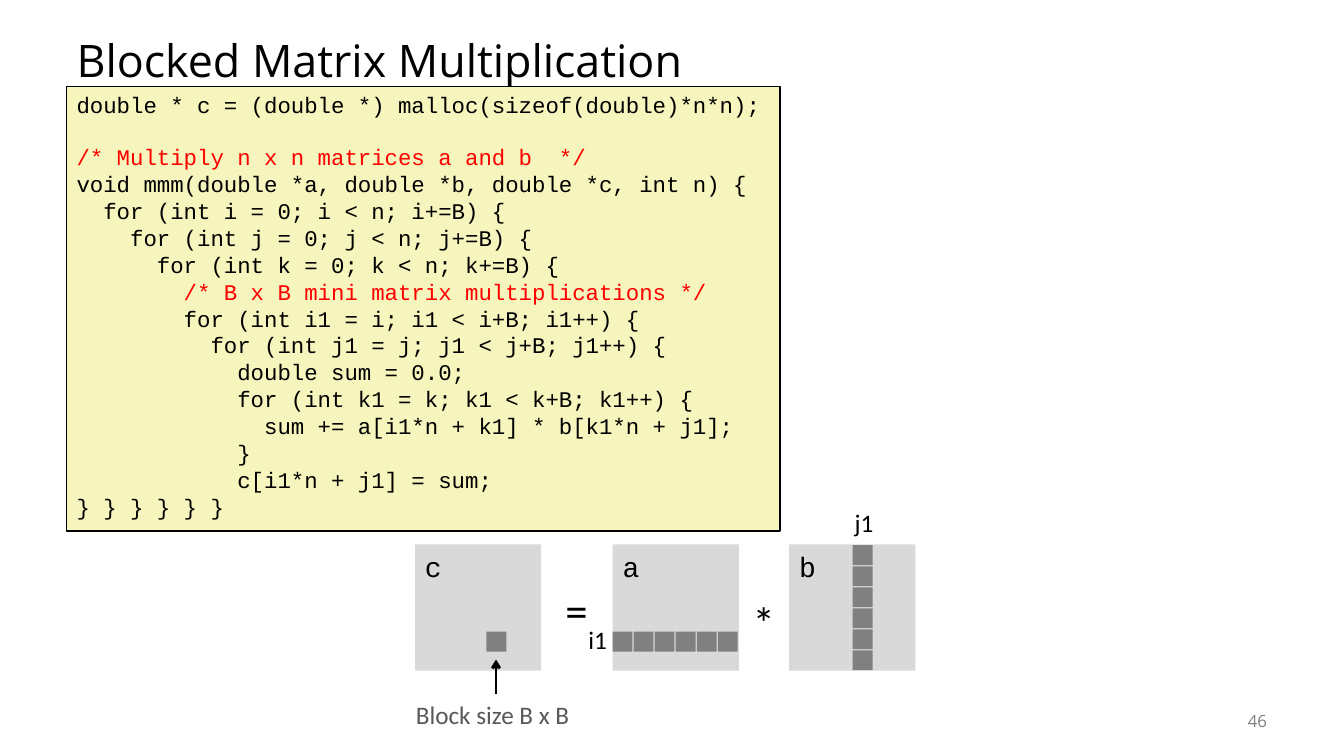
from lxml import etree
from pptx import Presentation
from pptx.dml.color import RGBColor as RGB
from pptx.enum.shapes import MSO_CONNECTOR as CONNECTOR, MSO_SHAPE as SHAPE
from pptx.enum.text import MSO_ANCHOR as ANCHOR, PP_ALIGN as ALIGN
from pptx.oxml.ns import qn
from pptx.util import Cm, Pt

COLORS = {"ink": "000000", "comment": "FF0000", "code": "F6F5BD",
          "matrix": "D9D9D9", "block": "808080", "caption": "595959",
          "number": "808080"}
MATRIX_SIDE, BLOCK_SIDE, BLOCK_PITCH, BLOCK_COUNT = 3.18, 0.5, 0.53, 6
CODE_SIZE = 16

CODE = """double * c = (double *) malloc(sizeof(double)*n*n);
/* Multiply n x n matrices a and b  */
void mmm(double *a, double *b, double *c, int n) {
  for (int i = 0; i < n; i+=B) {
    for (int j = 0; j < n; j+=B) {
      for (int k = 0; k < n; k+=B) {
        /* B x B mini matrix multiplications */
        for (int i1 = i; i1 < i+B; i1++) {
          for (int j1 = j; j1 < j+B; j1++) {
            double sum = 0.0;
            for (int k1 = k; k1 < k+B; k1++) {
              sum += a[i1*n + k1] * b[k1*n + j1];
            }
            c[i1*n + j1] = sum;
} } } } } }"""


def color(name):
    """Return the named colour."""
    return RGB.from_string(COLORS[name])


def style(paragraph, font_name, size, ink="ink"):
    """Format every run of a paragraph."""
    for run in paragraph.runs:
        run.font.name = font_name
        run.font.size = Pt(size)
        run.font.color.rgb = color(ink)


def add_label(slide, box, text, font_name, size, ink="ink", wrap=False):
    """Add a one-line text box and return its text frame."""
    frame = slide.shapes.add_textbox(*map(Cm, box)).text_frame
    frame.word_wrap = wrap
    frame.text = text
    style(frame.paragraphs[0], font_name, size, ink)
    return frame


def add_rect(slide, box, fill):
    """Add a flat rectangle without an outline."""
    rect = slide.shapes.add_shape(SHAPE.RECTANGLE, *map(Cm, box))
    rect.shadow.inherit = False
    rect.fill.solid()
    rect.fill.fore_color.rgb = color(fill)
    rect.line.fill.background()
    return rect


def add_title(slide, box):
    """Add the slide title."""
    frame = add_label(slide, box, "Blocked Matrix Multiplication",
                      "Open Sans", 32, wrap=True)
    frame.vertical_anchor = ANCHOR.MIDDLE
    frame.paragraphs[0].line_spacing = 0.9


def add_code(slide, box):
    """Add the listing, with its comments in red."""
    listing = add_rect(slide, box, "code")
    listing.line.color.rgb = color("ink")
    listing.line.width = Pt(1)
    frame = listing.text_frame
    frame.vertical_anchor = ANCHOR.TOP
    frame.text = CODE
    for line in frame.paragraphs:
        line.alignment = ALIGN.LEFT
        is_comment = line.text.lstrip().startswith("/*")
        style(line, "Courier New", CODE_SIZE, "comment" if is_comment else "ink")
    frame.paragraphs[1].space_before = Pt(18)


def add_matrix(slide, left, top, name):
    """Add one square matrix with its name in the corner."""
    matrix = add_rect(slide, (left, top, MATRIX_SIDE, MATRIX_SIDE), "matrix")
    frame = matrix.text_frame
    frame.vertical_anchor = ANCHOR.TOP
    frame.text = name
    frame.paragraphs[0].alignment = ALIGN.LEFT
    style(frame.paragraphs[0], "Courier New", 20)


def add_blocks(slide, left, top, step_x=0, step_y=0, count=BLOCK_COUNT):
    """Add a run of blocks along the given step."""
    for i in range(count):
        add_rect(slide, (left + i * step_x, top + i * step_y,
                         BLOCK_SIDE, BLOCK_SIDE), "block")


def add_arrow(slide, start, end):
    """Add a black arrow from start to end."""
    arrow = slide.shapes.add_connector(CONNECTOR.STRAIGHT, *map(Cm, start + end))
    arrow.line.color.rgb = color("ink")
    arrow.line.width = Pt(2)
    etree.SubElement(arrow.line._get_or_add_ln(), qn("a:tailEnd"), type="arrow")
    etree.SubElement(arrow._element.spPr, qn("a:effectLst"))


def add_product(slide, left, top):
    """Draw c = a * b in blocks; left and top are the corner of c."""
    a_left, b_left = left + 4.98, left + 9.43
    row_top, column_left = top + 2.2, b_left + 1.6
    for name, matrix_left in (("c", left), ("a", a_left), ("b", b_left)):
        add_matrix(slide, matrix_left, top, name)
    add_blocks(slide, left + 1.8, row_top, count=1)
    add_blocks(slide, a_left, row_top, step_x=BLOCK_PITCH)
    add_blocks(slide, column_left, top + 0.02, step_y=BLOCK_PITCH)

    for sign, sign_left, sign_top in (("=", 3.54, 0.84), ("*", 8.26, 1.14)):
        add_label(slide, (left + sign_left, top + sign_top, 1.09, 1.63),
                  sign, "Calibri", 32)
    add_label(slide, (a_left - 0.86, row_top - 0.32, 0.99, 1.02),
              "i1", "Calibri", 18)
    add_label(slide, (column_left - 0.2, top - 1.07, 0.99, 1.02),
              "j1", "Calibri", 18)
    add_label(slide, (left - 0.23, top + 3.78, 4.52, 1.02),
              "Block size B x B", "Calibri", 18, "caption")
    add_arrow(slide, (left + 2.04, top + 3.78), (left + 2.04, top + 2.9))


def add_slide_number(slide, box):
    """Add the page number at the right."""
    frame = add_label(slide, box, "46", "Open Sans", 12, "number", wrap=True)
    frame.vertical_anchor = ANCHOR.MIDDLE
    frame.paragraphs[0].alignment = ALIGN.RIGHT


def main():
    """Build and save the slide."""
    deck = Presentation()
    deck.slide_width, deck.slide_height = Cm(33.87), Cm(19.05)
    slide = deck.slides.add_slide(deck.slide_layouts[6])
    add_title(slide, (1.68, 0.64, 30.48, 1.9))
    add_code(slide, (1.68, 2.18, 17.98, 11.2))
    add_product(slide, 10.46, 13.72)
    add_slide_number(slide, (29.64, 17.65, 2.54, 1.02))
    deck.save("out.pptx")


main()
